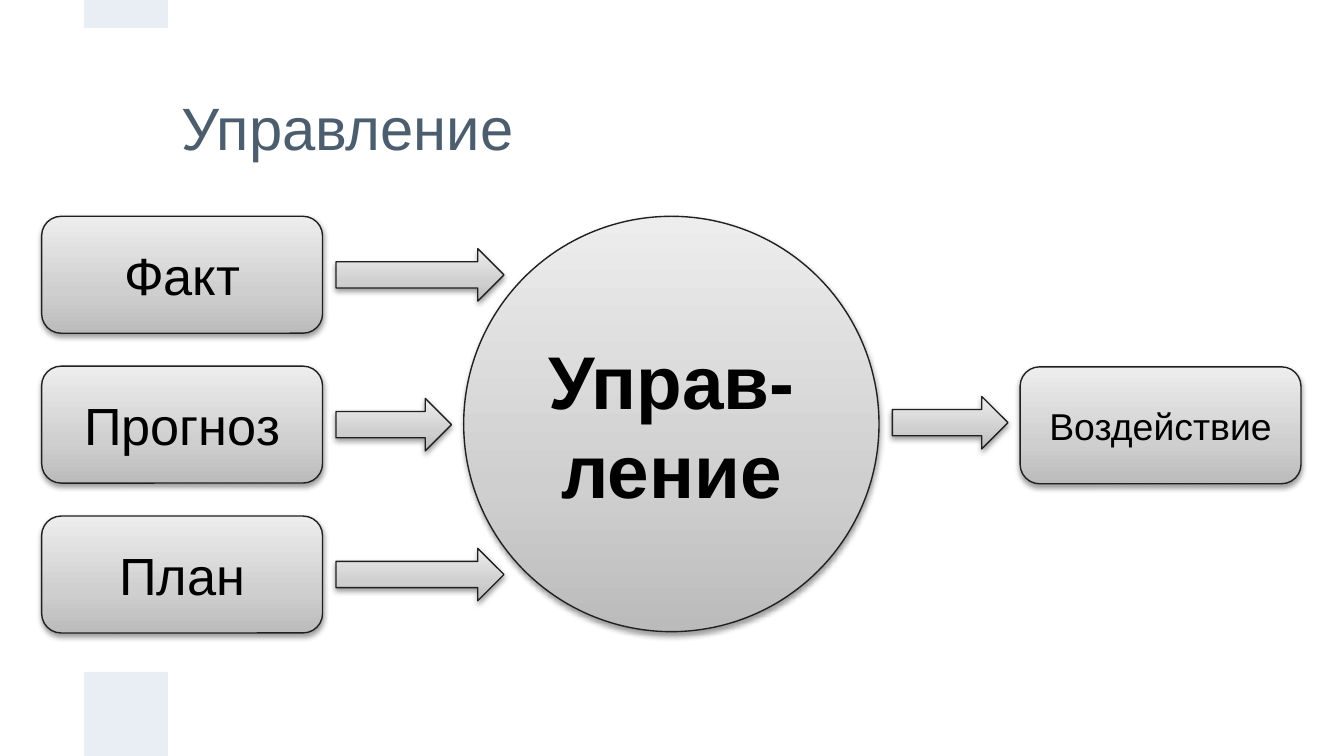
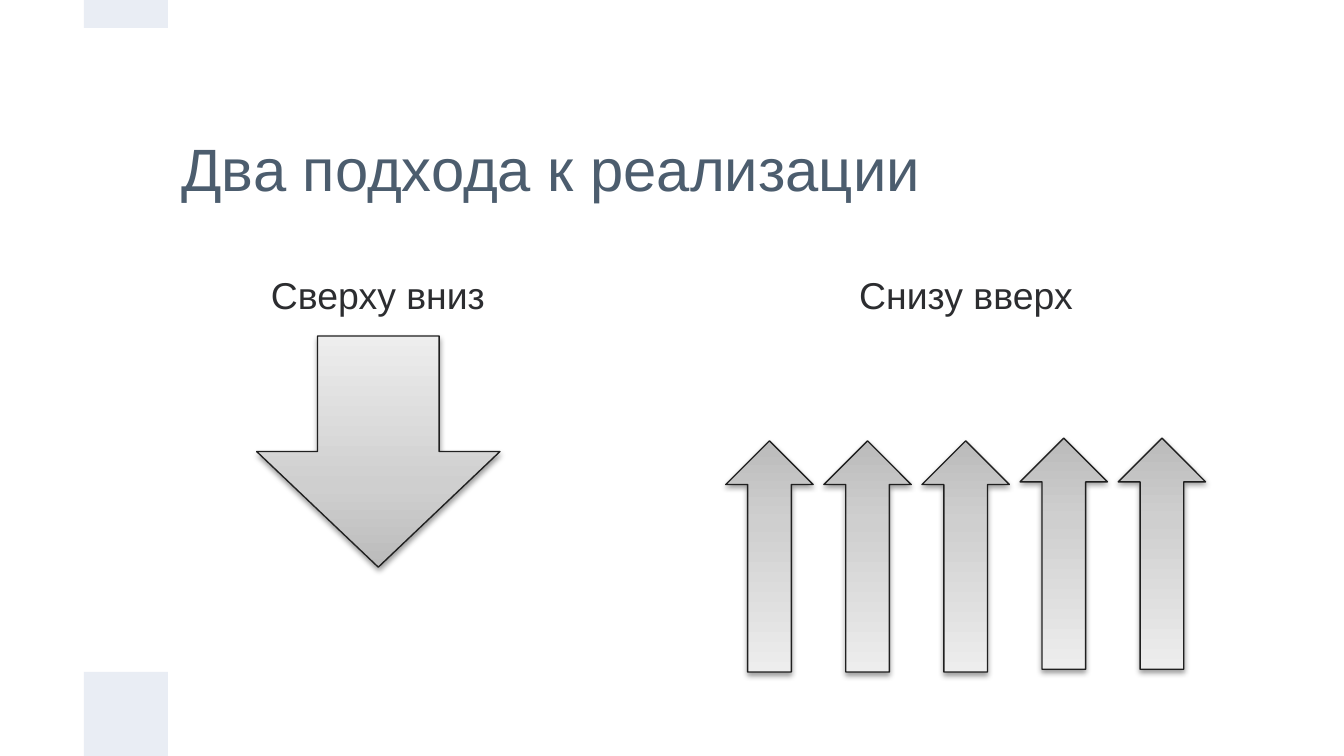
from pptx import Presentation
from pptx.dml.color import RGBColor
from pptx.enum import shapes, text
from pptx.oxml import parse_xml
from pptx.oxml.ns import nsdecls
from pptx.util import Inches, Pt

FONT = "Arial"
C = {"title": "4C5D6E", "body": "2C2D30", "band": "E9EDF4", "line": "202020",
     "label": "000000", "shadow": "000000",
     "dark": "BBBBBB", "mid": "CFCFCF", "light": "EDEDED"}
KIND = shapes.MSO_SHAPE
WIDTH = 10
HEIGHT = WIDTH * 9 / 16
UNIT = WIDTH / 16
GRADIENT = (
    f'<a:gradFill {nsdecls("a")} rotWithShape="1"><a:gsLst>'
    f'<a:gs pos="0"><a:srgbClr val="{C["dark"]}"/></a:gs>'
    f'<a:gs pos="35000"><a:srgbClr val="{C["mid"]}"/></a:gs>'
    f'<a:gs pos="100000"><a:srgbClr val="{C["light"]}"/></a:gs>'
    '</a:gsLst><a:lin ang="16200000" scaled="0"/></a:gradFill>')
SHADOW = (
    f'<a:outerShdw {nsdecls("a")} blurRad="{Pt(3.1)}" dist="{Pt(1.6)}" '
    'dir="5400000" rotWithShape="0">'
    f'<a:srgbClr val="{C["shadow"]}"><a:alpha val="38000"/></a:srgbClr></a:outerShdw>')


def write(sp, words, size, color, align, inset, anchor=text.MSO_ANCHOR.MIDDLE, bold=False):
    tf = sp.text_frame
    tf.text = words
    tf.word_wrap = True
    tf.auto_size = text.MSO_AUTO_SIZE.NONE
    tf.vertical_anchor = anchor
    tf.margin_left = tf.margin_right = Inches(0.1)
    tf.margin_top = tf.margin_bottom = Inches(inset)
    p = tf.paragraphs[0]
    p.alignment = align
    f = p.runs[0].font
    f.name, f.size, f.bold = FONT, Pt(size), bold
    f.color.rgb = RGBColor.from_string(C[color])
    return p


def add_gray(s, kind, x, y, w, h, words="", size=28, bold=False):
    sp = s.shapes.add_shape(kind, Inches(x), Inches(y), Inches(w), Inches(h))
    sp.line.color.rgb = RGBColor.from_string(C["line"])
    sp.line.width = Pt(0.75)
    sp.shadow.inherit = False
    spPr = sp._element.spPr
    spPr.find("{*}prstGeom").addnext(parse_xml(GRADIENT))
    spPr.find("{*}effectLst").append(parse_xml(SHADOW))
    if words:
        write(sp, words, size, "label", text.PP_ALIGN.CENTER, 0.05, bold=bold)
    return sp


prs = Presentation()
prs.slide_width, prs.slide_height = Inches(WIDTH), Inches(HEIGHT)

slides = []
for heading, height in [("Управление", 0.63), ("Два подхода к реализации", 2 * UNIT)]:
    s = prs.slides.add_slide(prs.slide_layouts[5])
    title = s.shapes.title
    title.left, title.top = Inches(2 * UNIT), Inches(UNIT)
    title.width, title.height = Inches(12 * UNIT), Inches(height)
    write(title, heading, 32, "title", text.PP_ALIGN.LEFT, 0.1)
    for top, band_height in [(HEIGHT - UNIT, UNIT), (0, UNIT / 3)]:
        band = s.shapes.add_shape(KIND.RECTANGLE, Inches(UNIT), Inches(top),
                                  Inches(UNIT), Inches(band_height))
        band.fill.solid()
        band.fill.fore_color.rgb = RGBColor.from_string(C["band"])
        band.line.fill.background()
        band.shadow.inherit = False
    slides.append(s)

control, approaches = slides

add_gray(control, KIND.OVAL, 3.45, 1.61, 3.09, 3.09, "Управ-ление", 40, True)
row_step = (3.84 - 1.61) / 2
for i, (label, arrow_width) in enumerate([("Факт", 1.25), ("Прогноз", 0.86), ("План", 1.25)]):
    top = 1.61 + i * row_step
    add_gray(control, KIND.ROUNDED_RECTANGLE, 0.31, top, 2.09, 0.87, label)
    add_gray(control, KIND.RIGHT_ARROW, 2.5, top + 0.24, arrow_width, 0.39)
add_gray(control, KIND.RIGHT_ARROW, 6.64, 2.95, 0.86, 0.39)
add_gray(control, KIND.ROUNDED_RECTANGLE, 7.59, 2.73, 2.09, 0.87, "Воздействие", 20)

for label, left in [("Сверху вниз", 2 * UNIT), ("Снизу вверх", 9 * UNIT)]:
    box = approaches.shapes.add_textbox(Inches(left), Inches(3 * UNIT),
                                        Inches(5 * UNIT), Inches(5 * UNIT))
    p = write(box, label, 20, "body", text.PP_ALIGN.CENTER, 0.1, text.MSO_ANCHOR.TOP)
    p.line_spacing = 1.15
    p.space_after = Pt(10)

add_gray(approaches, KIND.DOWN_ARROW, 1.91, 2.5, 1.81, 1.72)
for i, top in enumerate([3.28, 3.28, 3.28, 3.26, 3.26]):
    arrow = add_gray(approaches, KIND.DOWN_ARROW, 5.4 + i * 0.73, top, 0.65, 1.72)
    arrow.rotation = 180

prs.save("out.pptx")
